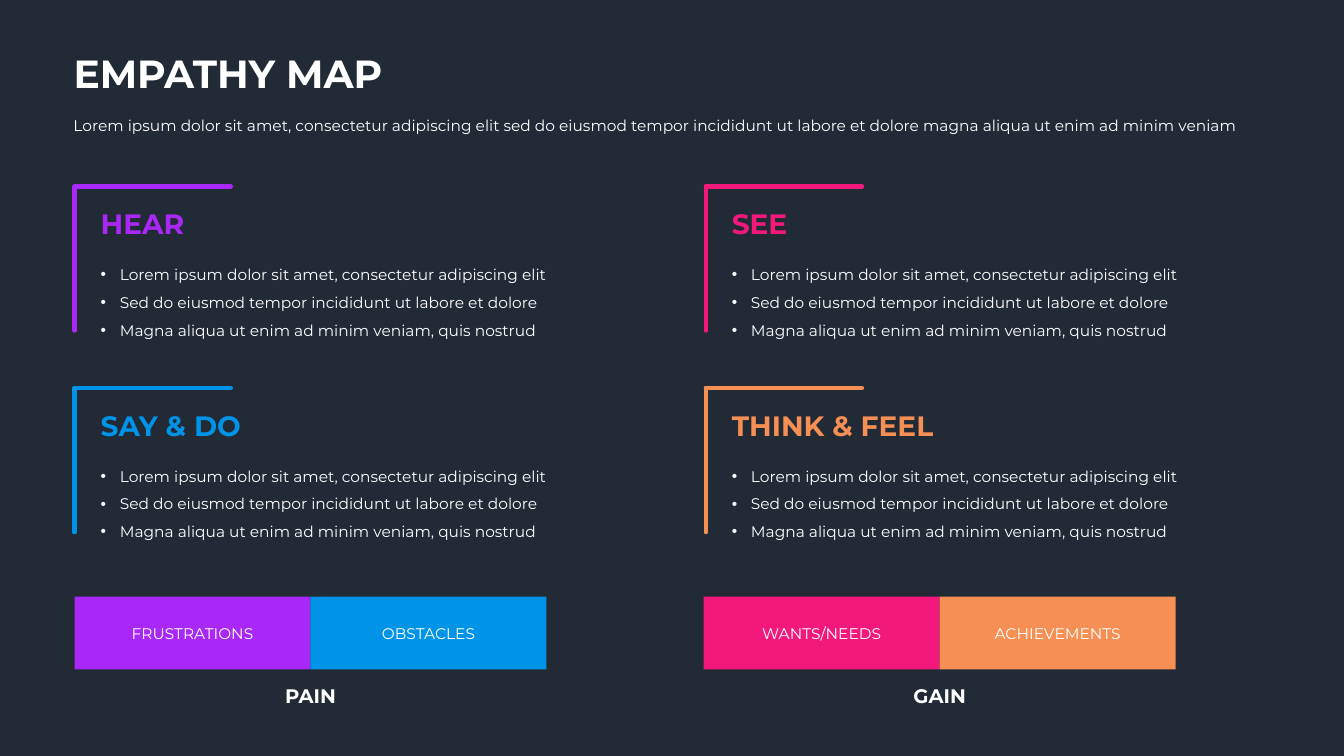
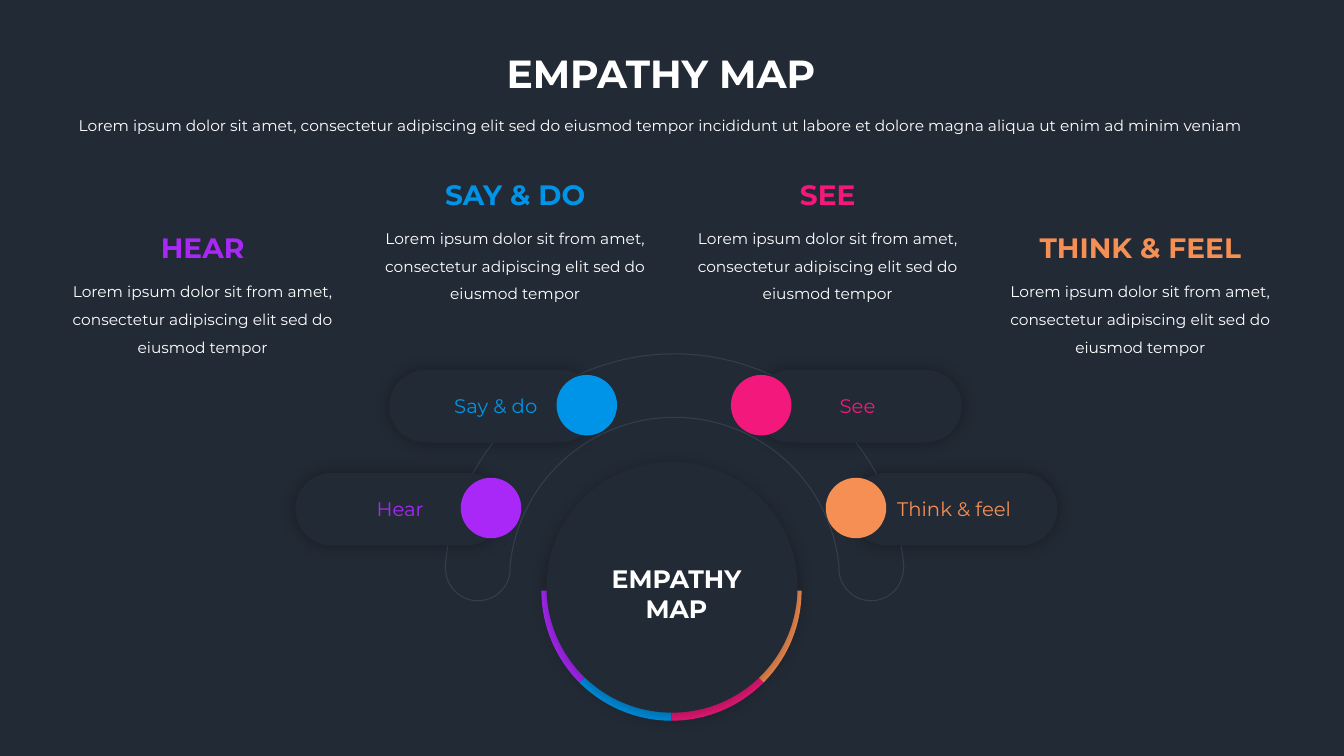
from dataclasses import dataclass
from math import cos, radians, sin
from typing import Any

from lxml import etree
from pptx import Presentation
from pptx.dml.color import RGBColor
from pptx.enum import shapes as kinds, text as txt
from pptx.oxml import ns
from pptx.util import Inches, Pt

NAVY = RGBColor(0x22, 0x2A, 0x35)
SLATE = RGBColor(0x33, 0x3F, 0x50)
WHITE = RGBColor(0xFF, 0xFF, 0xFF)
PURPLE = RGBColor(0xA9, 0x28, 0xF8)
BLUE = RGBColor(0x00, 0x94, 0xE8)
PINK = RGBColor(0xF3, 0x19, 0x7C)
ORANGE = RGBColor(0xF5, 0x8F, 0x53)

LEFT, CENTER, RIGHT = txt.PP_ALIGN.LEFT, txt.PP_ALIGN.CENTER, txt.PP_ALIGN.RIGHT
FONT = "Montserrat"
TITLE = "EMPATHY MAP"
INTRO = ("Lorem ipsum dolor sit amet, consectetur adipiscing elit sed do eiusmod tempor "
         "incididunt ut labore et dolore magna aliqua ut enim ad minim veniam")
POINTS = ["Lorem ipsum dolor sit amet, consectetur adipiscing elit",
          "Sed do eiusmod tempor incididunt ut labore et dolore",
          "Magna aliqua ut enim ad minim veniam, quis nostrud"]
CAPTION = "Lorem ipsum dolor sit from amet, consectetur adipiscing elit sed do eiusmod tempor"


@dataclass(frozen=True)
class Style:
    size: float = 11
    color: RGBColor = WHITE
    bold: bool = False
    align: Any = LEFT
    spacing: float = 1.0
    wrap: bool = True
    bulleted: bool = False
    anchor: Any = txt.MSO_ANCHOR.TOP


@dataclass(frozen=True)
class Topic:
    name: str
    color: RGBColor
    heading_width: float
    corner: tuple[float, float]
    caption_top: float
    pill: tuple[float, float]
    dot_left: float
    label_left: float
    label_width: float
    label_align: Any


@dataclass(frozen=True)
class Outcome:
    name: str
    left: float
    bars: tuple[tuple[str, RGBColor], ...]


TOPICS = [
    Topic("Hear", PURPLE, 1.04, (0.74, 1.85), 2.24, (2.93, 4.69), 4.57, 3.61, 0.69, RIGHT),
    Topic("Say & do", BLUE, 1.61, (0.74, 3.85), 1.71, (3.86, 3.67), 5.52, 4.36, 1.07, RIGHT),
    Topic("See", PINK, 0.76, (7, 1.85), 1.71, (7.48, 3.67), 7.25, 8.23, 0.57, LEFT),
    Topic("Think & feel", ORANGE, 2.21, (7, 3.85), 2.24, (8.43, 4.69), 8.19, 8.8, 1.39, LEFT),
]
OUTCOMES = [
    Outcome("PAIN", 0.74, (("FRUSTRATIONS", PURPLE), ("OBSTACLES", BLUE))),
    Outcome("GAIN", 6.98, (("WANTS/NEEDS", PINK), ("ACHIEVEMENTS", ORANGE))),
]


def assign(target: Any, values: dict[str, Any]) -> None:
    for key, value in values.items():
        setattr(target, key, value)


def place(shape: Any, left: float, top: float, width: float, height: float) -> None:
    assign(shape, {"left": Inches(left), "top": Inches(top),
                   "width": Inches(width), "height": Inches(height)})


def add_bullet(paragraph: Any) -> None:
    props = paragraph._p.get_or_add_pPr()
    props.set("marL", str(Inches(0.19)))
    props.set("indent", str(-Inches(0.19)))
    etree.SubElement(props, ns.qn("a:buFont")).set("typeface", "Arial")
    etree.SubElement(props, ns.qn("a:buChar")).set("char", "•")


def write(shape: Any, lines: list[str], style: Style) -> None:
    frame = shape.text_frame
    assign(frame, {"word_wrap": style.wrap, "auto_size": txt.MSO_AUTO_SIZE.NONE,
                   "vertical_anchor": style.anchor,
                   "margin_left": Inches(0.1), "margin_right": Inches(0.1),
                   "margin_top": Inches(0.05), "margin_bottom": Inches(0.05)})
    for index, line in enumerate(lines):
        paragraph = frame.add_paragraph() if index else frame.paragraphs[0]
        if style.bulleted:
            add_bullet(paragraph)
        assign(paragraph, {"alignment": style.align, "line_spacing": style.spacing})
        run = paragraph.add_run()
        run.text = line
        assign(run.font, {"name": FONT, "size": Pt(style.size), "bold": style.bold})
        run.font.color.rgb = style.color


def add_text(slide: Any, lines: list[str], left: float, top: float, width: float,
             height: float, style: Style) -> None:
    box = slide.shapes.add_textbox(Inches(left), Inches(top), Inches(width), Inches(height))
    write(box, lines, style)


def add_heading(slide: Any, topic: Topic, left: float, top: float, align: Any) -> None:
    style = Style(20, topic.color, bold=True, align=align, wrap=False)
    add_text(slide, [topic.name.upper()], left, top, topic.heading_width, 0.44, style)


def add_block(slide: Any, kind: Any, left: float, top: float, width: float, height: float,
              fill: RGBColor) -> Any:
    block = slide.shapes.add_shape(kind, Inches(left), Inches(top), Inches(width), Inches(height))
    block.shadow.inherit = False
    block.fill.solid()
    block.fill.fore_color.rgb = fill
    block.line.fill.background()
    return block


def add_glow(shape: Any, distance: float = 0) -> None:
    effects = shape._element.spPr.find(ns.qn("a:effectLst"))
    glow = etree.SubElement(effects, ns.qn("a:outerShdw"), blurRad=str(Pt(12)),
                            dist=str(Pt(distance)), dir="5400000", algn="ctr", rotWithShape="0")
    black = etree.SubElement(glow, ns.qn("a:srgbClr"), val="000000")
    etree.SubElement(black, ns.qn("a:alpha"), val="30000")


def add_rule(slide: Any, left: float, top: float, right: float, bottom: float,
             color: RGBColor) -> None:
    rule = slide.shapes.add_connector(kinds.MSO_CONNECTOR.STRAIGHT, Inches(left), Inches(top),
                                      Inches(right), Inches(bottom))
    rule.line.color.rgb = color
    rule.line.width = Pt(3)
    rule.line._get_or_add_ln().set("cap", "rnd")
    etree.SubElement(rule._element.spPr, ns.qn("a:effectLst"))


def add_slide(prs: Any, title_left: float, align: Any) -> Any:
    slide = prs.slides.add_slide(prs.slide_layouts[5])
    place(slide.shapes.title, title_left, 0.44, 3.33, 0.57)
    write(slide.shapes.title, [TITLE], Style(28, bold=True, align=align, wrap=False))
    add_text(slide, [INTRO], 0.63, 1.01, 11.85, 0.35, Style(align=align, spacing=1.5))
    return slide


def add_quadrant(slide: Any, topic: Topic) -> None:
    left, top = topic.corner
    add_rule(slide, left, top, left, top + 1.43, topic.color)
    add_rule(slide, left, top, left + 1.55, top, topic.color)
    add_heading(slide, topic, left + 0.16, top + 0.15, LEFT)
    add_text(slide, POINTS, left + 0.16, top + 0.64, 4.8, 0.9, Style(spacing=1.5, bulleted=True))


def add_outcome(slide: Any, outcome: Outcome) -> None:
    width = 2.34
    for index, (label, color) in enumerate(outcome.bars):
        bar = add_block(slide, kinds.MSO_SHAPE.RECTANGLE, outcome.left + index * width, 5.92,
                        width, 0.72, color)
        write(bar, [label], Style(align=CENTER, anchor=txt.MSO_ANCHOR.MIDDLE))
    add_text(slide, [outcome.name], outcome.left + width - 0.36, 6.74, 0.72, 0.34,
             Style(14, bold=True, align=CENTER, wrap=False))


def arc(x: float, y: float, radius: float, start: float, end: float) -> list[tuple[int, int]]:
    steps = 60
    angles = [radians(start + (end - start) * step / steps) for step in range(steps + 1)]
    return [(Inches(x + radius * cos(a)), Inches(y + radius * sin(a))) for a in angles]


def add_arch(slide: Any) -> None:
    outline = (arc(6.69, 5.79, 2.28, 183.8, 356.2) + arc(8.64, 5.64, 0.32, 0, 180)
               + arc(6.69, 5.78, 1.64, 355.1, 184.9) + arc(4.74, 5.64, 0.32, 0, 180))
    builder = slide.shapes.build_freeform(*outline[0])
    builder.add_line_segments(outline[1:], close=True)
    arch = builder.convert_to_shape()
    arch.shadow.inherit = False
    arch.fill.background()
    arch.line.color.rgb = SLATE
    arch.line.width = Pt(0.75)


def add_hub(slide: Any) -> None:
    for index, topic in enumerate(reversed(TOPICS)):
        segment = add_block(slide, kinds.MSO_SHAPE.BLOCK_ARC, 5.37, 4.57, 2.58, 2.58, topic.color)
        segment.adjustments[0] = 45 * index * 0.6
        segment.adjustments[1] = 45 * (index + 1) * 0.6
        segment.adjustments[2] = 0.09
    hub = add_block(slide, kinds.MSO_SHAPE.OVAL, 5.42, 4.58, 2.49, 2.49, NAVY)
    add_glow(hub, 3)
    add_text(slide, [TITLE], 5.88, 5.54, 1.66, 0.71, Style(18, bold=True, align=CENTER))


def add_pill(slide: Any, topic: Topic) -> None:
    left, top = topic.pill
    pill = add_block(slide, kinds.MSO_SHAPE.ROUNDED_RECTANGLE, left, top, 2.06, 0.72, NAVY)
    pill.adjustments[0] = 0.5
    add_glow(pill)
    add_block(slide, kinds.MSO_SHAPE.OVAL, topic.dot_left, top + 0.05, 0.6, 0.6, topic.color)
    add_text(slide, [topic.name], topic.label_left, top + 0.19, topic.label_width, 0.34,
             Style(14, topic.color, align=topic.label_align, wrap=False))


def add_caption(slide: Any, topic: Topic, middle: float) -> None:
    add_heading(slide, topic, middle - topic.heading_width / 2, topic.caption_top, CENTER)
    width = 3.31
    add_text(slide, [CAPTION], middle - width / 2, topic.caption_top + 0.42, width, 0.9,
             Style(align=CENTER, spacing=1.5))


def build_quadrants(prs: Any) -> None:
    slide = add_slide(prs, 0.63, LEFT)
    for topic in TOPICS:
        add_quadrant(slide, topic)
    for outcome in OUTCOMES:
        add_outcome(slide, outcome)


def build_radial(prs: Any) -> None:
    slide = add_slide(prs, 4.89, CENTER)
    add_arch(slide)
    for index, topic in enumerate(TOPICS):
        add_pill(slide, topic)
        add_caption(slide, topic, 2.01 + 3.1 * index)
    add_hub(slide)


def main() -> None:
    prs = Presentation()
    assign(prs, {"slide_width": Inches(13.33), "slide_height": Inches(7.5)})
    backdrop = prs.slide_master.background.fill
    backdrop.solid()
    backdrop.fore_color.rgb = NAVY
    build_quadrants(prs)
    build_radial(prs)
    prs.save("out.pptx")


if __name__ == "__main__":
    main()
